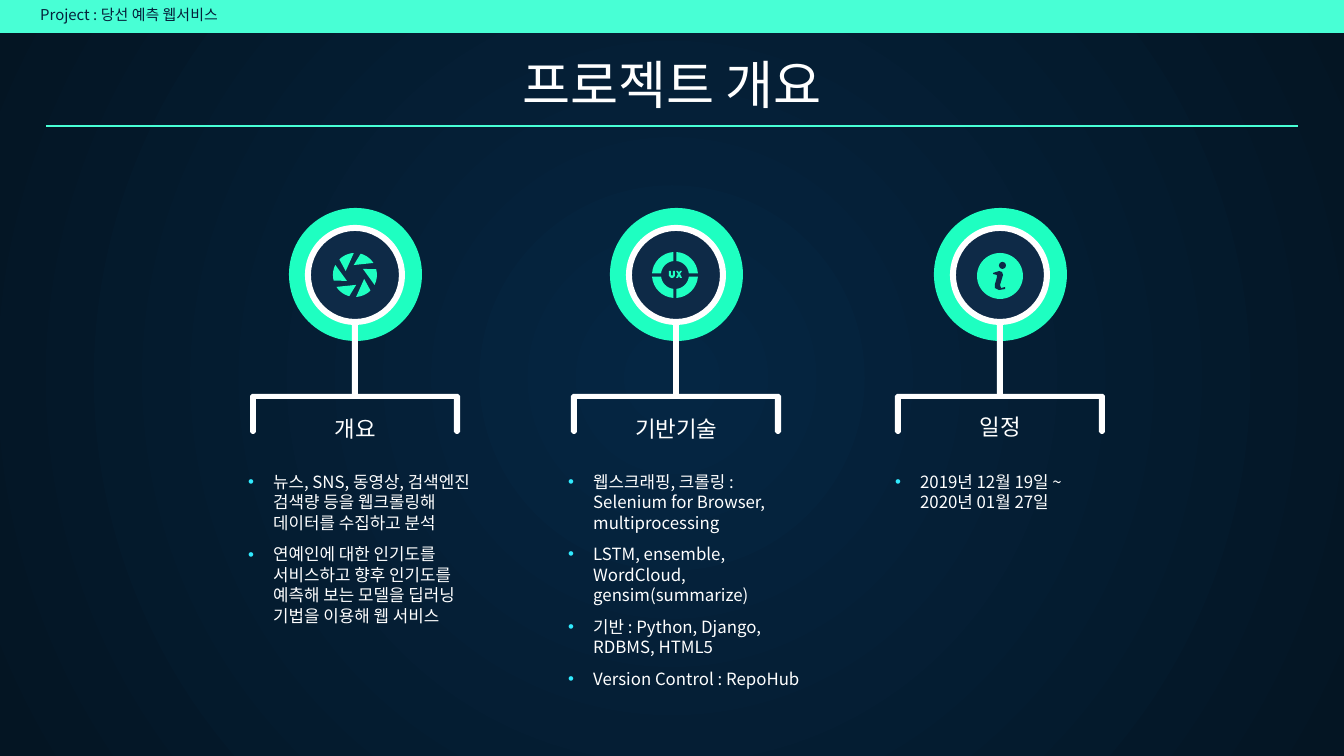
"""Build the project overview slide with three icon columns."""
import itertools
import math

import lxml.etree
import pptx
import pptx.dml.color
import pptx.enum.shapes
import pptx.enum.text
import pptx.oxml.ns
import pptx.util


class Theme:
    font = "Noto Sans CJK KR"
    mint, teal, white = "48FFD5", "1EFFC1", "FFFFFF"
    navy, ink, dot = "0E2A47", "05213A", "31EBFF"
    glow, edge = "052643", "041523"
    head, title, label, body = 8, 28, 12, 9
    line, gap = 10.9, 6


px = 914400 / 134.4
rgb = pptx.dml.color.RGBColor.from_string
qn = pptx.oxml.ns.qn
add = lxml.etree.SubElement
kinds = pptx.enum.shapes.MSO_SHAPE
align = pptx.enum.text.PP_ALIGN
anchor = pptx.enum.text.MSO_ANCHOR

deck = pptx.Presentation()
deck.slide_width, deck.slide_height = round(1344 * px), round(756 * px)
slide = deck.slides.add_slide(deck.slide_layouts[6])
shapes = slide.shapes


def draw(kind, hue, *data):
    """Add a preset from its box, or an outline from its points if kind is None."""
    if kind is None:
        dots = [(x * px, y * px) for x, y in data]
        pen = shapes.build_freeform(*dots[0], scale=1.0)
        pen.add_line_segments(dots[1:], close=True)
        shape = pen.convert_to_shape()
    else:
        shape = shapes.add_shape(kind, *[round(n * px) for n in data])
    shape.shadow.inherit = False
    shape.fill.solid()
    shape.fill.fore_color.rgb = rgb(hue)
    shape.line.fill.background()
    return shape


def write(box, text, size, hue, side=align.LEFT, stand=anchor.MIDDLE):
    """Add a text box and return its frame."""
    frame = shapes.add_textbox(*[round(n * px) for n in box]).text_frame
    frame.word_wrap = True
    frame.vertical_anchor = stand
    frame.text = text
    for para in frame.paragraphs:
        para.alignment = side
        for run in para.runs:
            run.font.size = pptx.util.Pt(size)
            run.font.color.rgb = rgb(hue)
            run.font.name = Theme.font
            add(run.font._element, qn("a:ea"), typeface=Theme.font)
    return frame


fill = slide.background.fill
fill.gradient()
for stop, hue in zip(fill.gradient_stops, (Theme.glow, Theme.edge)):
    stop.color.rgb = rgb(hue)
grad = slide._element.xpath(".//a:gradFill")[0]
grad.remove(grad.find(qn("a:lin")))
shade = add(grad, qn("a:path"), path="circle")
add(shade, qn("a:fillToRect"), l="50000", t="50000", r="50000", b="50000")

rule = shapes.add_connector(
    pptx.enum.shapes.MSO_CONNECTOR.STRAIGHT, *[round(n * px) for n in (46, 126, 1298, 126)])
rule.line.color.rgb = rgb(Theme.mint)
rule.line.width = pptx.util.Pt(0.75)
add(rule._element.spPr, qn("a:effectLst"))

draw(kinds.RECTANGLE, Theme.mint, 0, 0, 1344, 33)
write((27, 0, 663, 28), "Project : 당선 예측 웹서비스", Theme.head, Theme.ink)
write((46, 50, 1252, 68), "프로젝트 개요", Theme.title, Theme.white, align.CENTER)

columns = [
    (355, "개요", 413, (235, 465, 263, 168), [
        "뉴스, SNS, 동영상, 검색엔진 검색량 등을 웹크롤링해 데이터를 수집하고 분석",
        "연예인에 대한 인기도를 서비스하고 향후 인기도를 예측해 보는 모델을 딥러닝 기법을 이용해 웹 서비스"]),
    (676, "기반기술", 413, (555, 465, 259, 231), [
        "웹스크래핑, 크롤링 : Selenium for Browser, multiprocessing",
        "LSTM, ensemble, WordCloud, gensim(summarize)",
        "기반 : Python, Django, RDBMS, HTML5",
        "Version Control : RepoHub"]),
    (1000, "일정", 411, (882, 465, 231, 54), ["2019년 12월 19일 ~ 2020년 01월 27일"]),
]
half = [(99, 399), (99, 432), (101, 434), (103, 434), (105, 432), (105, 396), (103, 394)]

for mid, name, top, box, items in columns:
    frame = write(box, "\n".join(items), Theme.body, Theme.white, stand=anchor.TOP)
    for para in frame.paragraphs:
        para.line_spacing = pptx.util.Pt(Theme.line)
        para.space_after = pptx.util.Pt(Theme.gap)
        props = para._p.get_or_add_pPr()
        props.set("marL", str(round(25 * px)))
        props.set("indent", str(round(-25 * px)))
        add(add(props, qn("a:buClr")), qn("a:srgbClr"), val=Theme.dot)
        add(props, qn("a:buFont"), typeface="Arial")
        add(props, qn("a:buChar"), char="•")

    frame = write((mid - 152, top, 305, 42), name, Theme.label, Theme.white,
                  align.CENTER, anchor.BOTTOM)
    frame.margin_top = frame.margin_bottom = round(13 * px)

    right = [(mid + x, y) for x, y in half]
    left = [(mid - x, y) for x, y in reversed(half)]
    draw(None, Theme.white, *right, *left)
    draw(kinds.OVAL, Theme.teal, mid - 66, 208, 133, 133)
    stem = draw(kinds.ROUNDED_RECTANGLE, Theme.white, mid - 3, 265, 6, 134)
    stem.adjustments[0] = 0.5
    draw(kinds.OVAL, Theme.navy, mid - 47, 228, 94, 94)
    ring = draw(kinds.DONUT, Theme.white, mid - 50, 225, 100, 100)
    ring.adjustments[0] = 0.06

for turn in range(0, 360, 60):
    polar = [(22, deg) for deg in range(225, 273, 6)] + [(10, 203)]
    blade = [(355 + r * math.cos(math.radians(deg + turn)),
              275 + r * math.sin(math.radians(deg + turn))) for r, deg in polar]
    draw(None, Theme.teal, *blade)

for flip, flop in itertools.product((-1, 1), repeat=2):
    piece = []
    for r, way in ((23, 1), (14, -1)):
        low = math.asin(1.5 / r)
        step = (math.pi / 2 - 2 * low) / 8
        piece += [(675 + flip * r * math.cos(low + n * step),
                   275 + flop * r * math.sin(low + n * step)) for n in range(9)][::way]
    draw(None, Theme.teal, *piece)

glyphs = [
    [(-6, -3), (-4, -3), (-4, 1), (-3, 2), (-2, 1), (-2, -3),
     (0, -3), (0, 2), (-2, 4), (-4, 4), (-6, 2)],
    [(1, -3), (3, -3), (4, -1), (5, -3), (7, -3), (5, 0),
     (7, 4), (5, 4), (4, 2), (3, 4), (1, 4), (3, 0)],
]
for glyph in glyphs:
    draw(None, Theme.teal, *[(675 + x, 274 + y) for x, y in glyph])

draw(kinds.OVAL, Theme.teal, 977, 253, 46, 46)
draw(kinds.OVAL, Theme.navy, 999, 262, 7, 7)
draw(None, Theme.navy, (993, 273), (999, 271), (1002, 272), (1003, 275), (1000, 285),
     (1001, 288), (1005, 287), (1005, 289), (999, 290), (995, 288), (995, 284),
     (997, 277), (997, 275), (993, 274))

deck.save("out.pptx")
